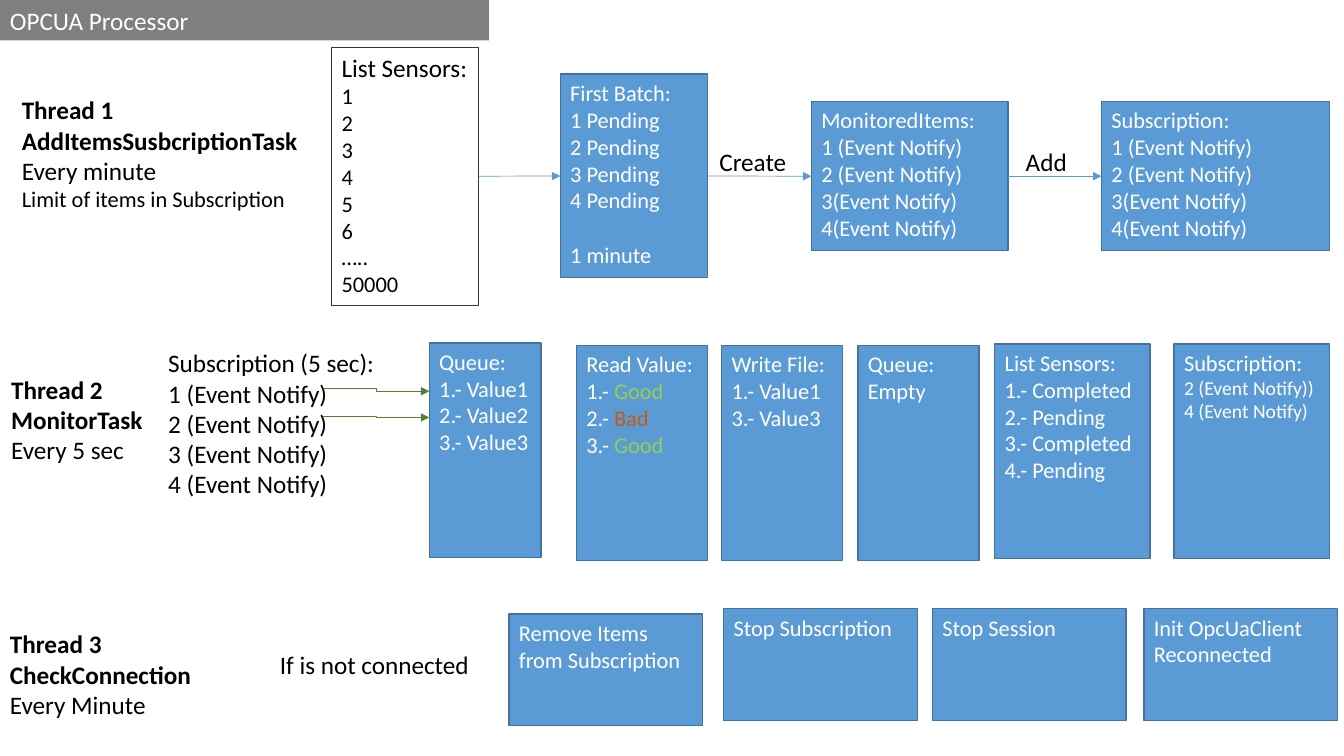
from pptx import Presentation
from pptx.dml.color import RGBColor
from pptx.enum.shapes import MSO_CONNECTOR, MSO_SHAPE
from pptx.enum.text import MSO_ANCHOR, PP_ALIGN
from pptx.oxml.ns import qn
from pptx.util import Cm, Pt
from lxml.etree import SubElement

BLACK = RGBColor(0x00, 0x00, 0x00)
WHITE = RGBColor(0xFF, 0xFF, 0xFF)
BLUE = RGBColor(0x5B, 0x9B, 0xD5)
BLUE_EDGE = RGBColor(0x43, 0x73, 0x9E)
NAVY = RGBColor(0x20, 0x38, 0x64)
GREEN = RGBColor(0x54, 0x82, 0x35)
GOOD = RGBColor(0x92, 0xD0, 0x50)
BAD = RGBColor(0xC5, 0x5A, 0x11)


def write(sp, lines, size, color):
    tf = sp.text_frame
    tf.word_wrap = True
    tf.vertical_anchor = MSO_ANCHOR.TOP
    for i, line in enumerate(lines):
        p = tf.paragraphs[0] if i == 0 else tf.add_paragraph()
        p.alignment = PP_ALIGN.LEFT
        p.font.name = "Calibri"
        p.font.size = Pt(size)
        p.font.color.rgb = color
        p.add_run().text = line
    return tf.paragraphs


def add_text(s, x, y, w, h, lines, size=18):
    return write(s.shapes.add_textbox(Cm(x), Cm(y), Cm(w), Cm(h)), lines, size, BLACK)


def add_thread(s, x, y, w, h, lines):
    ps = add_text(s, x, y, w, h, lines)
    for p in ps[:2]:
        p.font.bold = True
    return ps


def add_box(s, x, y, w, h, lines, fill=BLUE, edge=BLUE_EDGE, weight=1, size=16, color=WHITE):
    sp = s.shapes.add_shape(MSO_SHAPE.RECTANGLE, Cm(x), Cm(y), Cm(w), Cm(h))
    sp.shadow.inherit = False
    if fill is None:
        sp.fill.background()
    else:
        sp.fill.solid()
        sp.fill.fore_color.rgb = fill
    if edge is None:
        sp.line.fill.background()
    else:
        sp.line.color.rgb = edge
        sp.line.width = Pt(weight)
    write(sp, lines, size, color)
    return sp


def add_arrow(s, kind, x1, y1, x2, y2, color):
    c = s.shapes.add_connector(kind, Cm(x1), Cm(y1), Cm(x2), Cm(y2))
    c.line.color.rgb = color
    c.line.width = Pt(0.5)
    SubElement(c.line._get_or_add_ln(), qn("a:tailEnd"), type="triangle")
    SubElement(c._element.spPr, qn("a:effectLst"))
    return c


def add_title(s, x, y, w, h):
    bar = add_box(s, x, y, w, h, ["OPCUA Processor"], BLACK, None, size=18)
    bar.text_frame.vertical_anchor = MSO_ANCHOR.MIDDLE
    color = bar.fill._xPr.find(qn("a:solidFill"))[0]
    SubElement(color, qn("a:alpha"), val="50000")


def add_subscribe_row(s, x, y):
    ps = add_thread(s, x + 0.3, y + 1.07, 7.52, 3.25, [
        "Thread 1", "AddItemsSusbcriptionTask", "Every minute",
        "Limit of items in Subscription"])
    ps[3].font.size = Pt(16)
    sensors = add_box(s, x + 8.36, y, 3.71, 6.5,
                      ["List Sensors:", *"123456", "…..", "50000"],
                      None, NAVY, 0.75, color=BLACK)
    sensors.text_frame.paragraphs[0].font.size = Pt(18)
    batch = add_box(s, x + 14.12, y + 0.68, 3.71, 5.13,
                    ["First Batch:"] + [f"{n} Pending" for n in range(1, 5)] + ["1 minute"])
    batch.text_frame.paragraphs[-1].space_before = Pt(19.5)
    events = ["1 (Event Notify)", "2 (Event Notify)", "3(Event Notify)", "4(Event Notify)"]
    items = add_box(s, x + 20.45, y + 1.37, 4.95, 3.76, ["MonitoredItems:"] + events)
    subscription = add_box(s, x + 27.76, y + 1.37, 5.74, 3.76, ["Subscription:"] + events)
    steps = [sensors, batch, items, subscription]
    for start, end in zip(steps, steps[1:]):
        c = add_arrow(s, MSO_CONNECTOR.STRAIGHT, 0, 0, 1, 1, BLUE)
        c.begin_connect(start, 3)
        c.end_connect(end, 1)
    for dx, word in [(17.88, "Create"), (25.6, "Add")]:
        add_text(s, x + dx, y + 2.37, 2.31, 1.02, [word])


def add_monitor_row(s, x, y):
    add_thread(s, x + 0.03, y + 0.66, 3.99, 2.57, ["Thread 2", "MonitorTask", "Every 5 sec"])
    add_text(s, x + 3.99, y, 6.27, 4.11,
             ["Subscription (5 sec):"] + [f"{n} (Event Notify)" for n in range(1, 5)])
    columns = [
        (10.82, 0, 2.82, ["Queue:", "1.- Value1", "2.- Value2", "3.- Value3"]),
        (14.53, 0.07, 3.3, ["Read Value:", "1.- ", "2.- ", "3.- "]),
        (18.19, 0.07, 3.05, ["Write File:", "1.- Value1", "3.- Value3"]),
        (21.62, 0.07, 3.05, ["Queue:", "Empty"]),
        (25.07, 0.03, 3.91, ["List Sensors:", "1.- Completed", "2.- Pending",
                             "3.- Completed", "4.- Pending"]),
        (29.59, 0.03, 3.91, ["Subscription:", "2 (Event Notify))", "4 (Event Notify)"]),
    ]
    boxes = [add_box(s, x + dx, y + dy, w, 5.41, lines) for dx, dy, w, lines in columns]
    results = [("Good", GOOD), ("Bad", BAD), ("Good", GOOD)]
    for p, (word, color) in zip(boxes[1].text_frame.paragraphs[1:], results):
        r = p.add_run()
        r.text = word
        r.font.color.rgb = color
    for p in boxes[-1].text_frame.paragraphs[1:]:
        p.font.size = Pt(14)
    for y1, y2 in [(1.14, 1.22), (1.85, 1.88)]:
        add_arrow(s, MSO_CONNECTOR.ELBOW, x + 8.13, y + y1, x + 10.82, y + y2, GREEN)


def add_reconnect_row(s, x, y):
    add_thread(s, x, y + 0.38, 5.31, 2.57, ["Thread 3", "CheckConnection", "Every Minute"])
    condition = add_text(s, x + 5.61, y + 0.89, 7.65, 1.02, ["If is not connected"])
    condition[0].alignment = PP_ALIGN.CENTER
    for dx, dy, lines in [
        (12.83, 0.13, ["Remove Items from Subscription"]),
        (18.24, 0, ["Stop Subscription"]),
        (23.5, 0, ["Stop Session"]),
        (28.83, 0, ["Init OpcUaClient", "Reconnected"]),
    ]:
        add_box(s, x + dx, y + dy, 4.88, 2.82, lines)


prs = Presentation()
prs.slide_width = Cm(33.87)
prs.slide_height = Cm(19.05)
s = prs.slides.add_slide(prs.slide_layouts[6])
add_title(s, 0, 0, 12.32, 1.02)
add_subscribe_row(s, 0, 1.19)
add_monitor_row(s, 0, 8.64)
add_reconnect_row(s, 0, 15.34)
prs.save("out.pptx")
